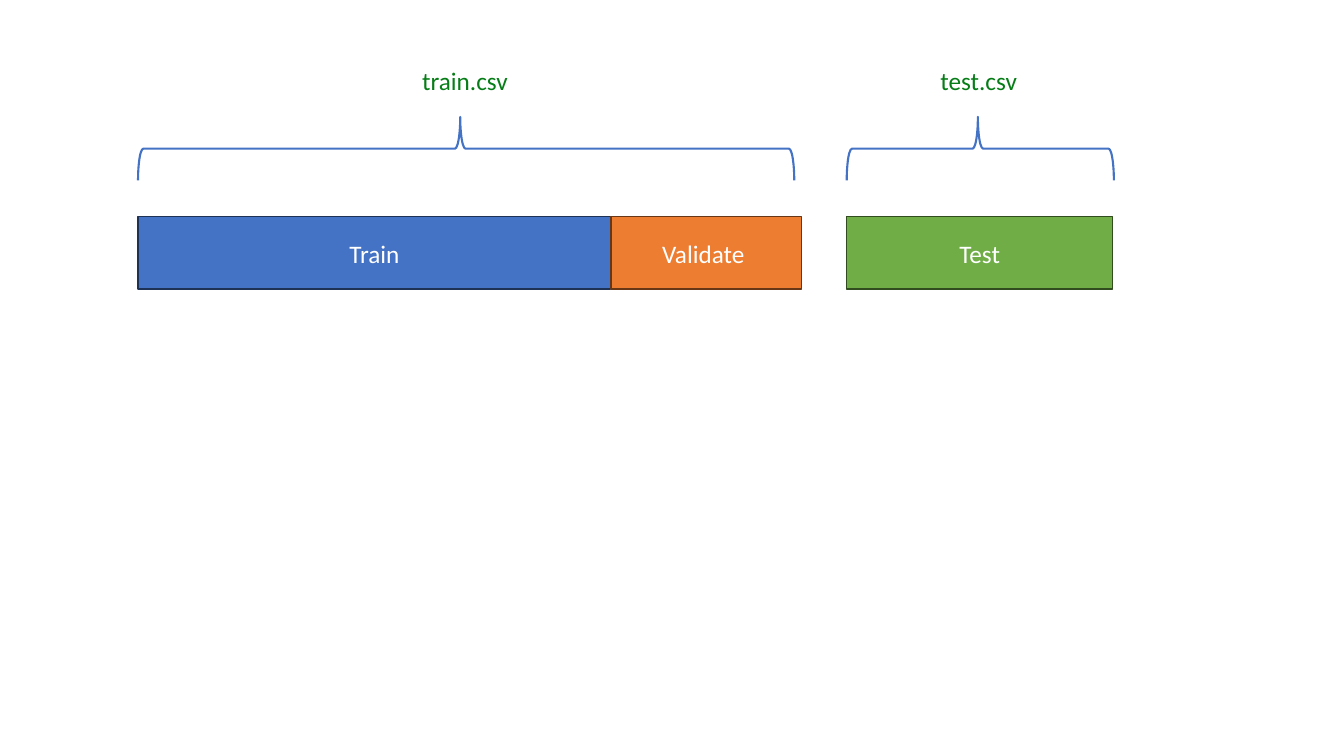
"""Build a slide showing how train.csv and test.csv are split into data sets."""
from typing import NamedTuple

import pptx
import pptx.dml.color
import pptx.enum.shapes
import pptx.enum.text
import pptx.presentation
import pptx.slide
import pptx.text.text
import pptx.util

Pt = pptx.util.Pt
RGBColor = pptx.dml.color.RGBColor
MSO_SHAPE = pptx.enum.shapes.MSO_SHAPE
PP_ALIGN = pptx.enum.text.PP_ALIGN
MSO_ANCHOR = pptx.enum.text.MSO_ANCHOR
MSO_AUTO_SIZE = pptx.enum.text.MSO_AUTO_SIZE

COLORS = {
    "train": "4472C4",
    "train_line": "1E3256",
    "validate": "ED7D31",
    "validate_line": "683715",
    "test": "70AD47",
    "test_line": "314C1F",
    "brace": "4472C4",
    "file": "067D17",
    "white": "FFFFFF",
}
FONT, FONT_SIZE = "Calibri", 18
BAR_TOP, BAR_HEIGHT = 154.8, 51.8
BRACE_TOP, BRACE_DEPTH = 83.5, 45.4
FILE_TOP, FILE_HEIGHT = 43.2, 29.1
TRAIN_LEFT, TRAIN_WIDTH = 98.6, 337.7
TEST_LEFT = 604.8


class DataSet(NamedTuple):
    """A bar for one data set."""
    text: str
    color: str
    left: float
    width: float


class SourceFile(NamedTuple):
    """A file name above the brace that spans its data sets."""
    name: str
    name_left: float
    name_width: float
    brace_left: float
    brace_length: float


DATA_SETS = [
    DataSet("Train", "train", TRAIN_LEFT, TRAIN_WIDTH),
    DataSet("Validate ", "validate", TRAIN_LEFT + TRAIN_WIDTH, 136.1),
    DataSet("Test", "test", TEST_LEFT, 190.1),
]
SOURCE_FILES = [
    SourceFile("train.csv", 294.5, 76.3, TRAIN_LEFT, 468.7),
    SourceFile("test.csv", 664.6, 70.6, TEST_LEFT, 190.8),
]


def rgb(name: str) -> RGBColor:
    """Look up a named colour."""
    return RGBColor.from_string(COLORS[name])


def write(tf: pptx.text.text.TextFrame, text: str, color: str, align: PP_ALIGN) -> None:
    """Put one styled line into a text frame."""
    p = tf.paragraphs[0]
    p.text = text
    p.alignment = align
    p.font.name = FONT
    p.font.size = Pt(FONT_SIZE)
    p.font.color.rgb = rgb(color)


def add_data_set(s: pptx.slide.Slide, item: DataSet) -> None:
    """Draw the bar of a data set."""
    sp = s.shapes.add_shape(MSO_SHAPE.RECTANGLE, Pt(item.left), Pt(BAR_TOP),
                            Pt(item.width), Pt(BAR_HEIGHT))
    sp.shadow.inherit = False
    sp.fill.solid()
    sp.fill.fore_color.rgb = rgb(item.color)
    sp.line.color.rgb = rgb(f"{item.color}_line")
    sp.line.width = Pt(1)
    sp.text_frame.vertical_anchor = MSO_ANCHOR.MIDDLE
    write(sp.text_frame, item.text, "white", PP_ALIGN.CENTER)


def add_source_file(s: pptx.slide.Slide, item: SourceFile) -> None:
    """Draw a file name and its brace, a left brace turned to point up."""
    box = s.shapes.add_textbox(Pt(item.name_left), Pt(FILE_TOP),
                               Pt(item.name_width), Pt(FILE_HEIGHT))
    box.text_frame.word_wrap = False
    box.text_frame.auto_size = MSO_AUTO_SIZE.SHAPE_TO_FIT_TEXT
    write(box.text_frame, item.name, "file", PP_ALIGN.LEFT)

    shift = (item.brace_length - BRACE_DEPTH) / 2
    sp = s.shapes.add_shape(MSO_SHAPE.LEFT_BRACE, Pt(item.brace_left + shift),
                            Pt(BRACE_TOP - shift), Pt(BRACE_DEPTH), Pt(item.brace_length))
    sp.rotation = 90
    sp.adjustments[0] = 0.083
    sp.adjustments[1] = 0.509
    sp.shadow.inherit = False
    sp.fill.background()
    sp.line.color.rgb = rgb("brace")
    sp.line.width = Pt(1.5)


def build() -> pptx.presentation.Presentation:
    """Assemble the presentation."""
    prs = pptx.Presentation()
    prs.slide_width, prs.slide_height = Pt(960), Pt(540)
    s = prs.slides.add_slide(prs.slide_layouts.get_by_name("Blank"))
    for data_set in DATA_SETS:
        add_data_set(s, data_set)
    for source_file in SOURCE_FILES:
        add_source_file(s, source_file)
    return prs


build().save("out.pptx")
